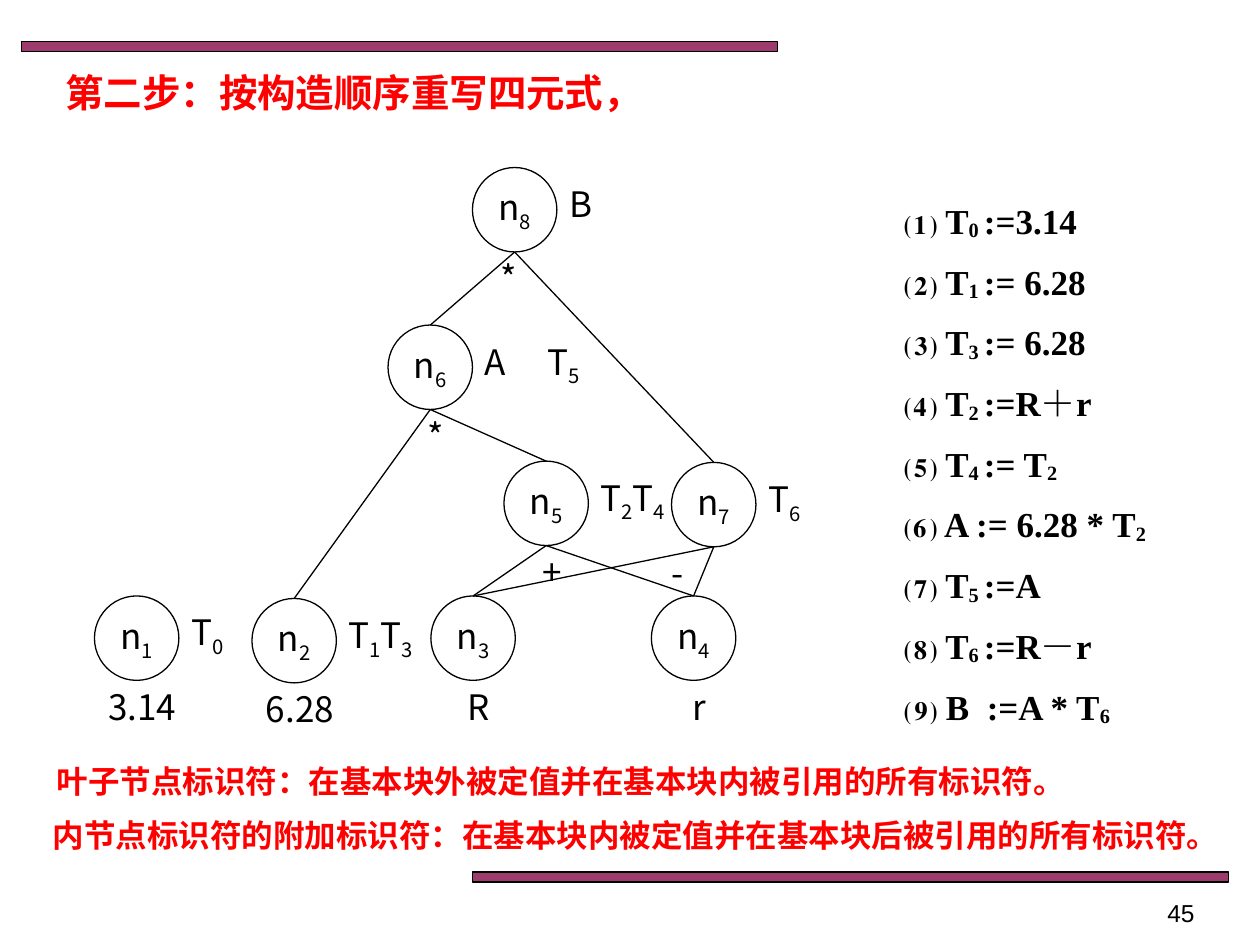
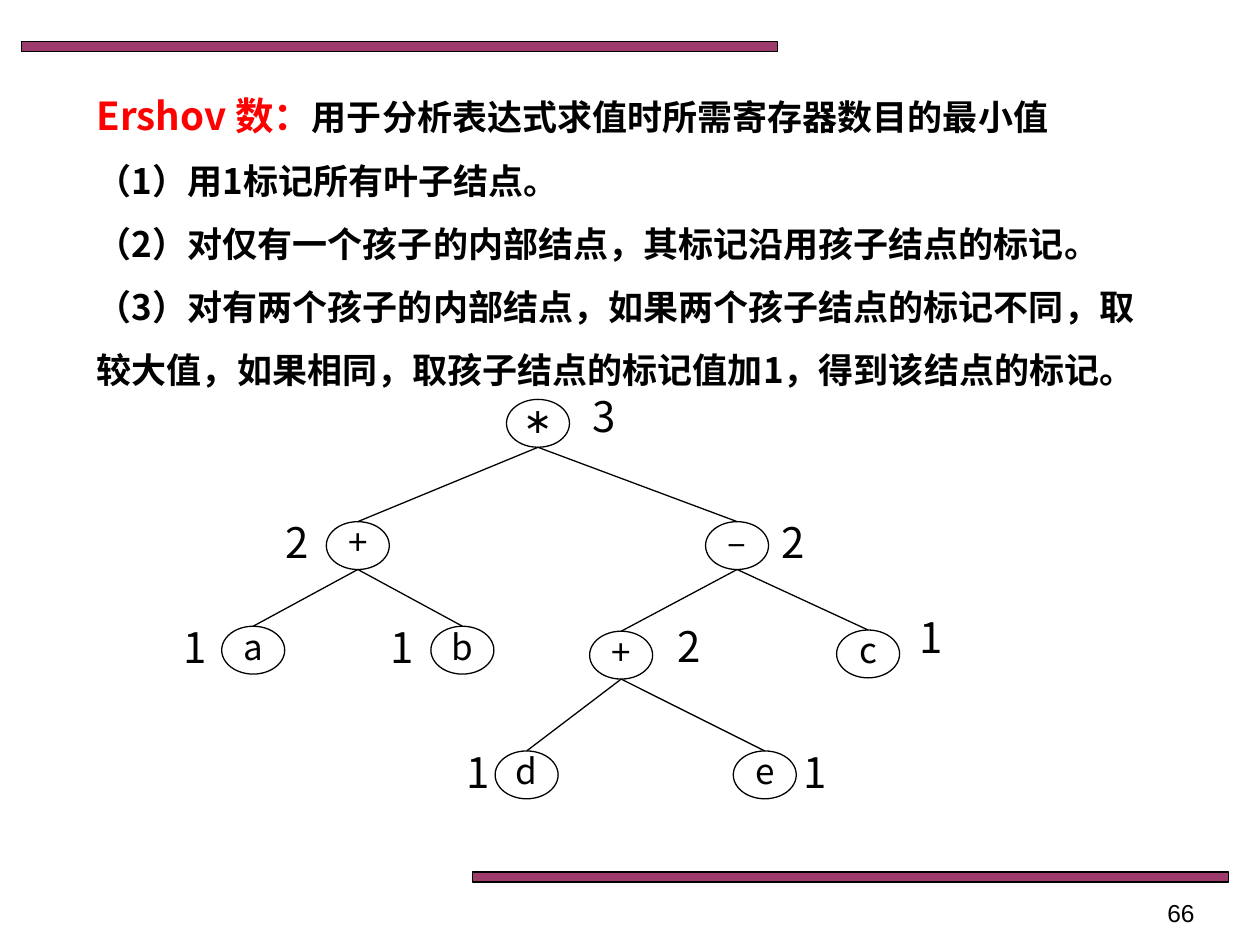
"""Build two slides on expression graphs: rewriting quadruples and Ershov numbers."""
from dataclasses import dataclass, replace
from typing import Any, NamedTuple

import pptx
import pptx.dml.color
import pptx.enum.shapes
import pptx.enum.text
import pptx.oxml
import pptx.oxml.ns
import pptx.util

Inches = pptx.util.Inches
Pt = pptx.util.Pt
Align = pptx.enum.text.PP_ALIGN
Shape = pptx.enum.shapes.MSO_SHAPE


@dataclass(frozen=True)
class Theme:
    ink: str = "000000"
    red: str = "FF0000"
    plum: str = "993366"
    sans: str = "Noto Sans CJK SC"
    serif: str = "Times New Roman"
    plain: str = "Arial"
    head: int = 22
    body: int = 20
    note: int = 18
    count: int = 24
    page: int = 14
    rule: float = 0.75


THEME = Theme()


@dataclass(frozen=True)
class Style:
    size: int = THEME.body
    font: str = THEME.sans
    color: str = THEME.ink
    bold: bool = False
    align: Any = Align.LEFT
    pitch: float = 1.0
    gap: float = 0
    sub: int = -25000
    inset: float = 0.05


LABEL = Style()
MID = replace(LABEL, align=Align.CENTER)
TITLE = Style(size=THEME.head, color=THEME.red, bold=True)
NOTE = Style(size=THEME.note, color=THEME.red, bold=True, align=Align.CENTER)
CODE = Style(font=THEME.serif, bold=True, pitch=1.1, gap=8, sub=-10000)
RULES = Style(bold=True, pitch=1.5, sub=0)
MARK = replace(MID, pitch=0.8, inset=0)
COUNT = Style(size=THEME.count, pitch=0.8, inset=0)
PAGE = Style(size=THEME.page, font=THEME.plain, align=Align.RIGHT)


class Box(NamedTuple):
    left: float
    top: float
    width: float
    height: float


class Node(NamedTuple):
    mark: str
    left: float
    top: float
    under: str
    shift: float = -0.08
    tags: tuple[str, ...] = ()
    step: float = 0.25


class Leaf(NamedTuple):
    mark: str
    left: float
    top: float
    count: str
    side: float
    drop: float = 0.04


BANDS = (Box(0.17, 0.33, 6, 0.08), Box(3.75, 6.92, 6, 0.08))

GRAPH = {
    "n1": Node("n|1", 0.75, 4.73, "3.14", tags=("T|0",)),
    "n2": Node("n|2", 2, 4.75, "6.28", tags=("T|1", "T|3")),
    "n3": Node("n|3", 3.42, 4.73, "R"),
    "n4": Node("n|4", 5.17, 4.73, "r"),
    "n5": Node("n|5", 4, 3.66, "+", tags=("T|2", "T|4")),
    "n6": Node("n|6", 3.08, 2.58, "*", tags=("A", "T|5"), step=0.5),
    "n7": Node("n|7", 5.33, 3.67, "-", -0.41, ("T|6",)),
    "n8": Node("n|8", 3.75, 1.33, "*", -0.17, ("B",)),
}
LINKS = {"n5": ("n3", "n4"), "n6": ("n2", "n5"),
         "n7": ("n3", "n4"), "n8": ("n6", "n7")}

TREE = {
    "root": Leaf("∗", 4.02, 3.17, "3", 0.58, 0.01),
    "sum": Leaf("+", 2.59, 4.14, "2", -0.42),
    "minus": Leaf("–", 5.6, 4.14, "2", 0.5),
    "plus": Leaf("+", 4.68, 5.01, "2", 0.6, -0.01),
    "a": Leaf("a", 1.76, 4.97, "1", -0.4),
    "b": Leaf("b", 3.42, 4.97, "1", -0.42),
    "c": Leaf("c", 6.64, 5, "1", 0.56, -0.07),
    "d": Leaf("d", 3.93, 5.96, "1", -0.33),
    "e": Leaf("e", 5.82, 5.96, "1", 0.46),
}
FORKS = {"root": ("sum", "minus"), "sum": ("a", "b"),
         "minus": ("plus", "c"), "plus": ("d", "e")}

STEPS = ("⑴ T|0 |:=3.14", "⑵ T|1 |:= 6.28", "⑶ T|3 |:= 6.28",
         "⑷ T|2 |:=R＋r", "⑸ T|4 |:= T|2", "⑹ A := 6.28 * T|2",
         "⑺ T|5 |:=A", "⑻ T|6 |:=R－r", "⑼ B  :=A * T|6")

ERSHOV = (
    "Ershov 数：|用于分析表达式求值时所需寄存器数目的最小值",
    "（1）用1标记所有叶子结点。",
    "（2）对仅有一个孩子的内部结点，其标记沿用孩子结点的标记。",
    "（3）对有两个孩子的内部结点，如果两个孩子结点的标记不同，"
    "取较大值，如果相同，取孩子结点的标记值加1，得到该结点的标记。",
)


def tint(code: str) -> Any:
    """Turn a hex code into a colour."""
    return pptx.dml.color.RGBColor.from_string(code)


def child(parent: Any, tag: str) -> Any:
    """Append an empty DrawingML element."""
    item = pptx.oxml.parse_xml(f"<{tag} {pptx.oxml.ns.nsdecls('a')}/>")
    parent.append(item)
    return item


def style_run(run: Any, style: Style) -> None:
    """Give a run its font, size, weight and colour."""
    run.font.size = Pt(style.size)
    run.font.bold = style.bold
    run.font.color.rgb = tint(style.color)
    run.font.name = style.font
    child(run.font._element, "a:ea").set("typeface", style.font)


def write(frame: Any, lines: tuple[str, ...], style: Style) -> None:
    """Fill a frame with lines whose odd parts, split by bars, are lowered."""
    frame.margin_top = frame.margin_bottom = Inches(style.inset)
    frame.margin_left = frame.margin_right = Inches(0.1)
    for row, line in enumerate(lines):
        para = frame.add_paragraph() if row else frame.paragraphs[0]
        para.alignment = style.align
        para.line_spacing = style.pitch
        para.space_before = Pt(style.gap if row else 0)
        for turn, part in enumerate(line.split("|")):
            run = para.add_run()
            run.text = part
            style_run(run, style)
            if turn % 2 and style.sub:
                run.font._element.set("baseline", str(style.sub))


def add_text(slide: Any, box: Box, style: Style, *lines: str) -> Any:
    """Add a wrapped text box and return its frame."""
    frame = slide.shapes.add_textbox(*map(Inches, box)).text_frame
    frame.word_wrap = True
    write(frame, lines, style)
    return frame


def add_form(slide: Any, kind: Any, box: Box) -> Any:
    """Add an unfilled outlined shape."""
    form = slide.shapes.add_shape(kind, *map(Inches, box))
    form.shadow.inherit = False
    form.fill.background()
    form.line.color.rgb = tint(THEME.ink)
    form.line.width = Pt(THEME.rule)
    return form


def add_oval(slide: Any, box: Box, mark: str, style: Style) -> None:
    """Add a marked graph node."""
    frame = add_form(slide, Shape.OVAL, box).text_frame
    frame.word_wrap = False
    frame.vertical_anchor = pptx.enum.text.MSO_ANCHOR.MIDDLE
    write(frame, (mark,), style)


def add_edges(slide: Any, nodes: dict, links: dict, width: float,
              height: float) -> None:
    """Join the foot of each parent to the top of its children."""
    for name, kids in links.items():
        top = nodes[name]
        for kid in map(nodes.get, kids):
            ends = (top.left + width / 2, top.top + height,
                    kid.left + width / 2, kid.top)
            line = slide.shapes.add_connector(
                pptx.enum.shapes.MSO_CONNECTOR.STRAIGHT, *map(Inches, ends))
            line.line.color.rgb = tint(THEME.ink)
            line.line.width = Pt(THEME.rule)
            child(line._element.spPr, "a:effectLst")


def add_slide(deck: Any, page: str) -> Any:
    """Add a blank slide with both bands and its page number."""
    slide = deck.slides.add_slide(deck.slide_layouts[6])
    for box in BANDS:
        band = add_form(slide, Shape.RECTANGLE, box)
        band.fill.solid()
        band.fill.fore_color.rgb = tint(THEME.plum)
        color = band._element.spPr.find(".//" + pptx.oxml.ns.qn("a:srgbClr"))
        child(color, "a:alpha").set("val", "96000")
    add_text(slide, Box(7.25, 7.08, 2.33, 0.27), PAGE, page)
    return slide


def draw_graph(deck: Any) -> None:
    """Draw the graph with its rewritten quadruples."""
    slide = add_slide(deck, "45")
    add_text(slide, Box(0.42, 0.5, 5.42, 0.47), TITLE,
             "第二步：按构造顺序重写四元式，")
    add_text(slide, Box(7.08, 1.5, 2.5, 4.33), CODE, *STEPS)
    add_text(slide, Box(0.24, 6, 8.42, 0.4), NOTE,
             "叶子节点标识符：在基本块外被定值并在基本块内被引用的所有标识符。")
    add_text(slide, Box(0.17, 6.43, 9.75, 0.4), NOTE,
             "内节点标识符的附加标识符：在基本块内被定值并在基本块后被引用的所有标识符。")
    size = 0.67
    for node in GRAPH.values():
        add_oval(slide, Box(node.left, node.top, size, size), node.mark, MID)
        add_text(slide, Box(node.left + node.shift, node.top + 0.66, 0.92, 0.44),
                 MID, node.under)
        for turn, tag in enumerate(node.tags):
            left = node.left + size + turn * node.step
            add_text(slide, Box(left, node.top + 0.07, 0.58, 0.44), LABEL, tag)
    add_edges(slide, GRAPH, LINKS, size, size)


def draw_tree(deck: Any) -> None:
    """Draw the Ershov rules and the numbered tree."""
    slide = add_slide(deck, "66")
    frame = add_text(slide, Box(0.67, 0.5, 8.51, 2.68), RULES, *ERSHOV)
    term = frame.paragraphs[0].runs[0].font
    term.size = Pt(THEME.head)
    term.color.rgb = tint(THEME.red)
    width, height = 0.5, 0.38
    for leaf in TREE.values():
        add_oval(slide, Box(leaf.left, leaf.top, width, height), leaf.mark, MARK)
        add_text(slide, Box(leaf.left + leaf.side, leaf.top + leaf.drop,
                            0.39, 0.32), COUNT, leaf.count)
    add_edges(slide, TREE, FORKS, width, height)


def main() -> None:
    """Build and save the deck."""
    deck = pptx.Presentation()
    deck.slide_width, deck.slide_height = Inches(10), Inches(7.5)
    draw_graph(deck)
    draw_tree(deck)
    deck.save("out.pptx")


if __name__ == "__main__":
    main()
